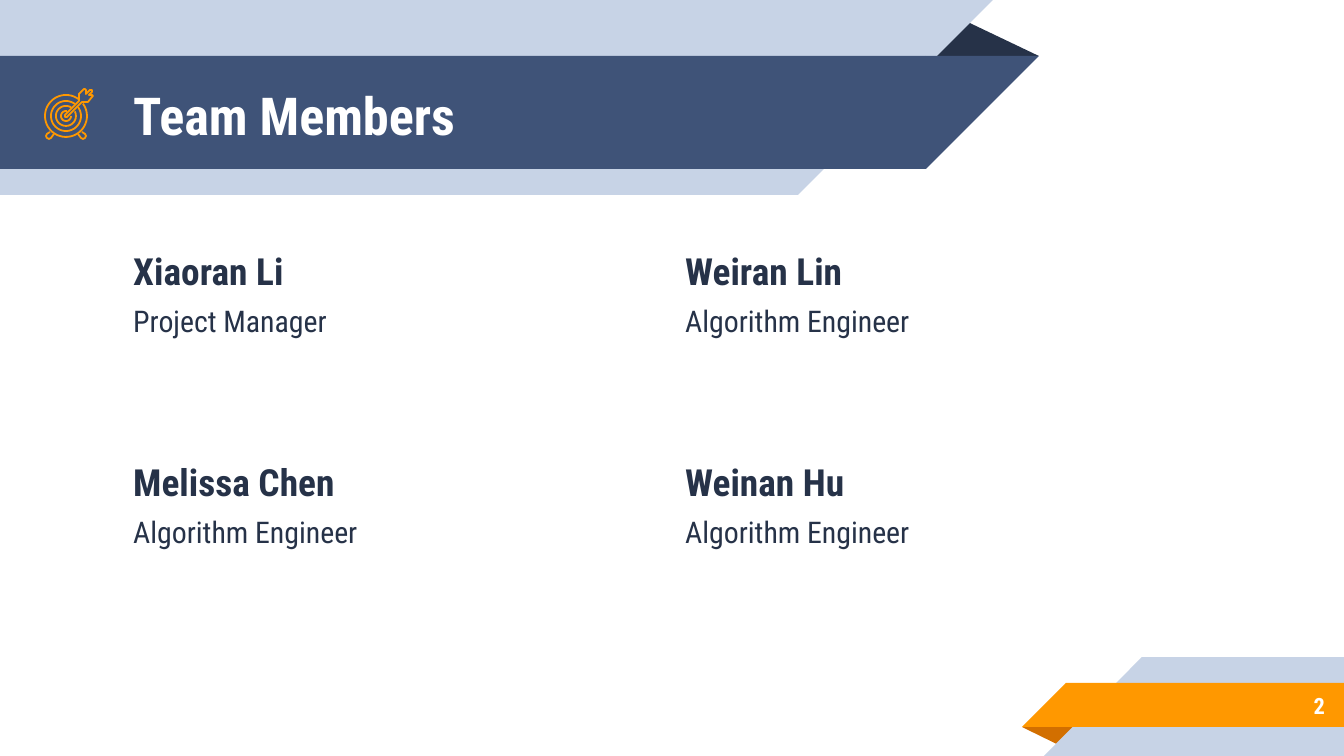
from math import cos, radians, sin

from pptx import Presentation
from pptx.dml.color import RGBColor
from pptx.enum.shapes import MSO_SHAPE
from pptx.enum.text import MSO_ANCHOR, PP_ALIGN
from pptx.util import Pt

RECT = MSO_SHAPE.RECTANGLE
CORNER = MSO_SHAPE.RIGHT_TRIANGLE
FOLD = MSO_SHAPE.ISOSCELES_TRIANGLE
TOP, MIDDLE = MSO_ANCHOR.TOP, MSO_ANCHOR.MIDDLE
LEFT, RIGHT = PP_ALIGN.LEFT, PP_ALIGN.RIGHT

PX = 914400 / 134.4
FONT = "Roboto Condensed"
NAVY, BLUE, PALE = "263248", "3F5378", "C7D3E6"
ORANGE, RUST, WHITE = "FF9800", "D26F00", "FFFFFF"

deck = Presentation()
deck.slide_width, deck.slide_height = round(1344 * PX), round(756 * PX)
page = deck.slides.add_slide(deck.slide_layouts[6])


def color(value):
    return RGBColor.from_string(value)


def add_text(left, top, width, height, lines, anchor=TOP, align=LEFT):
    """Each line is (wording, size, bold, colour)."""
    box = page.shapes.add_textbox(*(round(v * PX) for v in (left, top, width, height)))
    frame = box.text_frame
    frame.word_wrap = True
    frame.vertical_anchor = anchor
    frame.margin_left = frame.margin_right = round(13.44 * PX)
    frame.margin_top = frame.margin_bottom = round(13.44 * PX)
    for index, (wording, size, bold, tint) in enumerate(lines):
        para = frame.add_paragraph() if index else frame.paragraphs[0]
        para.alignment = align
        if index:
            para.space_before = Pt(5)
        span = para.add_run()
        span.text = wording
        span.font.name = FONT
        span.font.size = Pt(size)
        span.font.bold = bold
        span.font.color.rgb = color(tint)


# Ribbons: header at the top left, footer at the bottom right
ribbon_parts = [
    (FOLD, 925, 19, 114, 37, NAVY, None),
    (RECT, 0, 0, 798, 195, PALE, None),
    (CORNER, 798, 0, 195, 195, PALE, "flipV"),
    (RECT, 0, 56, 926, 113, BLUE, None),
    (CORNER, 926, 56, 113, 113, BLUE, "flipV"),
    (FOLD, 1022, 727, 57, 19, RUST, "rot"),
    (RECT, 1142, 657, 202, 99, PALE, None),
    (CORNER, 1044, 657, 98, 99, PALE, "flipH"),
    (RECT, 1066, 683, 278, 44, ORANGE, None),
    (CORNER, 1022, 683, 44, 44, ORANGE, "flipH"),
]
for kind, left, top, width, height, tint, turn in ribbon_parts:
    part = page.shapes.add_shape(kind, *(round(v * PX) for v in (left, top, width, height)))
    part.shadow.inherit = False
    part.fill.solid()
    part.fill.fore_color.rgb = color(tint)
    part.line.fill.background()
    if kind == FOLD:
        part.adjustments[0] = 0.32
    if turn == "rot":
        part.rotation = 180
    elif turn:
        part._element.spPr.xfrm.set(turn, "1")

# Target icon: open rings, two feet and the arrow
strokes = []
for radius, start, end in [(21, -36, 306), (15, -36, 306), (10, -27, 302), (5, 0, 280)]:
    angles = [radians(start + (end - start) * step / 48) for step in range(49)]
    strokes.append(([(66 + radius * cos(a), 116 + radius * sin(a)) for a in angles], False))

foot = [(50, 132), (47, 134), (46, 136), (47, 138), (49, 139), (51, 138), (54, 134)]
strokes.append((foot, False))
strokes.append(([(132 - x, y) for x, y in foot], False))

arrow = [
    (92, 95), (89, 95), (92, 92), (92, 90), (90, 90), (86, 94), (86, 90),
    (85, 89), (84, 89), (79, 94), (79, 96), (79, 101), (65, 115), (65, 117),
    (67, 117), (82, 102), (86, 102), (88, 102), (92, 97), (93, 96),
]
strokes.append((arrow, True))

for points, closed in strokes:
    corners = [(round(x * PX), round(y * PX)) for x, y in points]
    builder = page.shapes.build_freeform(*corners[0])
    builder.add_line_segments(corners[1:], close=closed)
    stroke = builder.convert_to_shape()
    stroke.shadow.inherit = False
    stroke.fill.background()
    stroke.line.color.rgb = color(ORANGE)
    stroke.line.width = Pt(0.96)

# Title and page number
add_text(120, 58, 773, 113, [("Team Members", 28, True, WHITE)], MIDDLE)
add_text(1119, 682, 219, 47, [("2", 12, True, WHITE)], MIDDLE, RIGHT)

# Team members in a two by two grid
members = [
    ("Xiaoran Li", "Project Manager"),
    ("Weiran Lin", "Algorithm Engineer"),
    ("Melissa Chen", "Algorithm Engineer"),
    ("Weinan Hu", "Algorithm Engineer"),
]
for index, (name, role) in enumerate(members):
    row, column = divmod(index, 2)
    add_text(120 + 552 * column, 235 + 211 * row, 531, 223,
             [(name, 20, True, NAVY), (role, 16, False, NAVY)])

deck.save("out.pptx")
